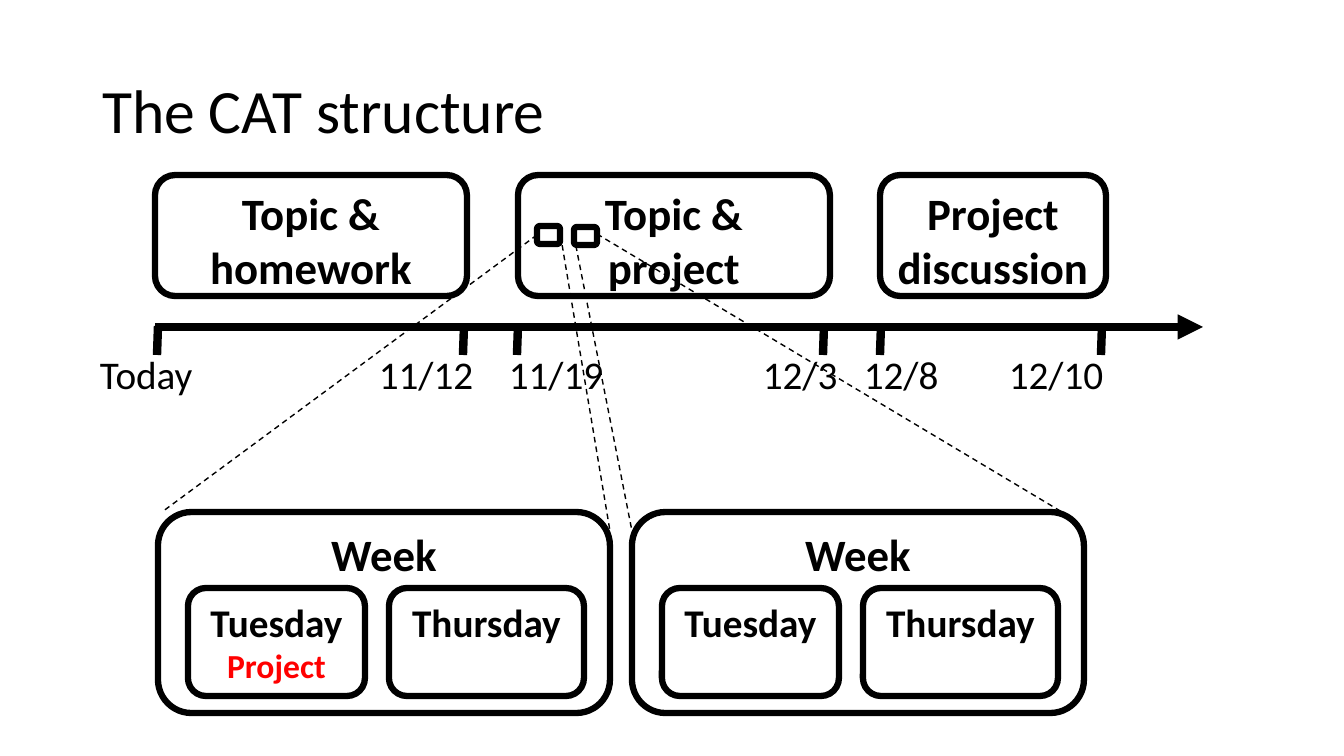
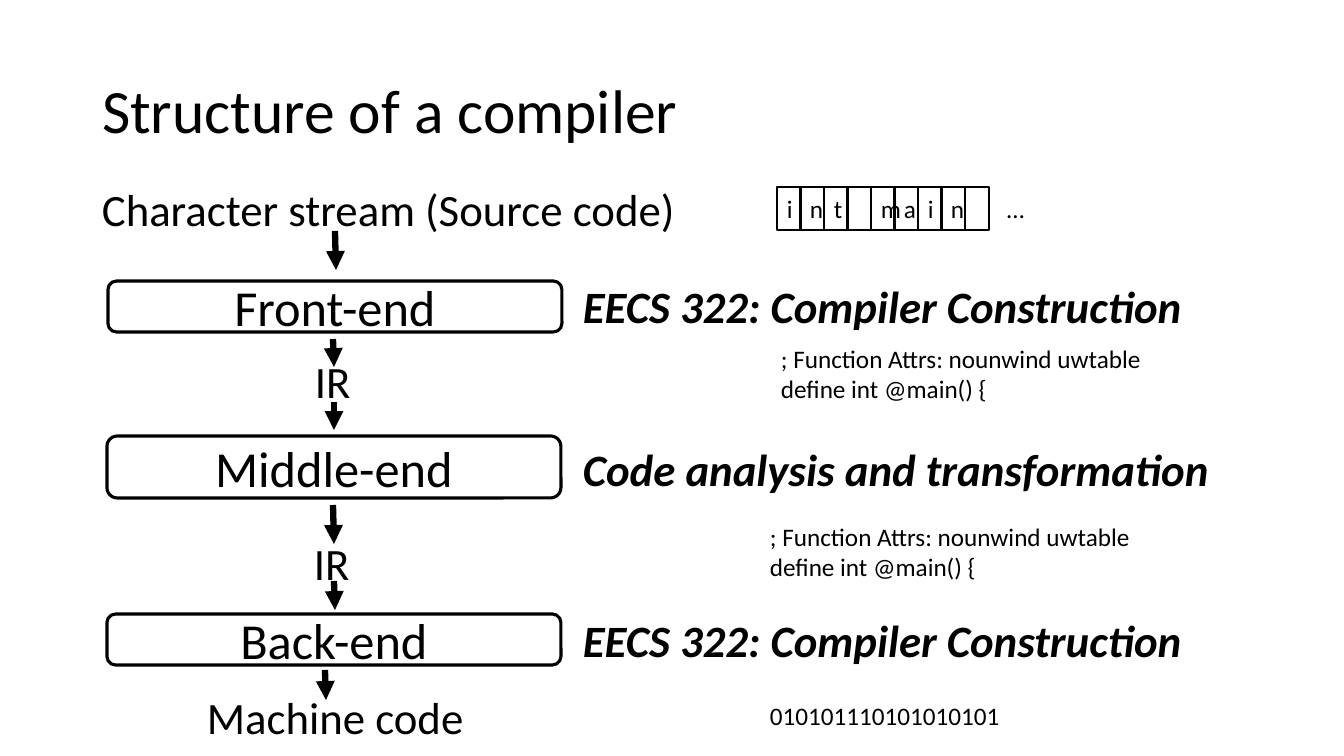
"""Build two course slides: the CAT structure and the structure of a compiler."""
from dataclasses import dataclass

from lxml import etree
from pptx import Presentation
from pptx import util as u
from pptx.dml.color import RGBColor
from pptx.enum import dml, shapes
from pptx.enum import text as txt
from pptx.oxml import ns

EMU_PER_PX = 914400 / 100.8
SLIDE_W, SLIDE_H = 1344, 756
FONT = "Calibri"
COLORS = {"ink": "000000", "paper": "FFFFFF", "accent": "FF0000"}
CENTER, LEFT = txt.PP_ALIGN.CENTER, txt.PP_ALIGN.LEFT
TOP, MIDDLE = txt.MSO_ANCHOR.TOP, txt.MSO_ANCHOR.MIDDLE
ROUNDED = shapes.MSO_SHAPE.ROUNDED_RECTANGLE
SQUARE = shapes.MSO_SHAPE.RECTANGLE


@dataclass(frozen=True)
class Area:
    x: int
    y: int
    w: int
    h: int

    def emu(self):
        return [px(side) for side in (self.x, self.y, self.w, self.h)]


@dataclass(frozen=True)
class Stroke:
    x1: int
    y1: int
    x2: int
    y2: int


@dataclass(frozen=True)
class Label:
    text: str
    area: Area
    size: int = 32
    strong: bool = False


@dataclass(frozen=True)
class Week:
    x: int
    tuesday_task: str
    mini: Area
    zoom: tuple


def px(length: float) -> u.Emu:
    return u.Emu(round(length * EMU_PER_PX))


def rgb(name: str) -> RGBColor:
    return RGBColor.from_string(COLORS[name])


def write(frame, content: str, *, size: int, bold=False, italic=False, color="ink",
          align=LEFT, anchor=TOP, spacing=None, wrap=True) -> None:
    frame.word_wrap = wrap
    frame.vertical_anchor = anchor
    for line in content.split("\n"):
        last = frame.paragraphs[-1]
        paragraph = frame.add_paragraph() if last.runs else last
        paragraph.alignment = align
        if spacing:
            paragraph.line_spacing = spacing
        run = paragraph.add_run()
        run.text = line
        font = run.font
        font.name, font.size = FONT, u.Pt(size)
        font.bold, font.italic = bold, italic
        font.color.rgb = rgb(color)


def add_titled_slide(deck, heading: str):
    slide = deck.slides.add_slide(deck.slide_layouts[5])
    title = slide.shapes.title
    title.left, title.top, title.width, title.height = Area(92, 41, 1159, 146).emu()
    write(title.text_frame, heading, size=44, anchor=MIDDLE, spacing=0.9)
    return slide


def add_box(parent, area: Area, kind=ROUNDED, *, weight=4.5, fill="paper", outline="ink"):
    box = parent.shapes.add_shape(kind, *area.emu())
    box.shadow.inherit = False
    if fill:
        box.fill.solid()
        box.fill.fore_color.rgb = rgb(fill)
    else:
        box.fill.background()
    box.line.color.rgb = rgb(outline)
    box.line.width = u.Pt(weight)
    return box


def add_stroke(slide, stroke: Stroke, *, weight: float, arrow=False, dashed=False) -> None:
    ends = [px(end) for end in (stroke.x1, stroke.y1, stroke.x2, stroke.y2)]
    connector = slide.shapes.add_connector(shapes.MSO_CONNECTOR.STRAIGHT, *ends)
    connector.line.color.rgb = rgb("ink")
    connector.line.width = u.Pt(weight)
    if dashed:
        connector.line.dash_style = dml.MSO_LINE.DASH
    properties = connector.element.spPr
    if arrow:
        etree.SubElement(properties.find(ns.qn("a:ln")), ns.qn("a:tailEnd"), type="triangle")
    etree.SubElement(properties, ns.qn("a:effectLst"))


def add_label(slide, label: Label, *, wrap=False):
    textbox = slide.shapes.add_textbox(*label.area.emu())
    write(textbox.text_frame, label.text, size=label.size, bold=label.strong,
          italic=label.strong, wrap=wrap)
    textbox.text_frame.auto_size = txt.MSO_AUTO_SIZE.SHAPE_TO_FIT_TEXT
    return textbox


def add_dates(slide, dates: dict) -> None:
    area = Area(90, 345, 1067, 57)
    textbox = add_label(slide, Label("\t".join(dates), area, 28), wrap=True)
    paragraph = textbox.text_frame.paragraphs[0]
    stops = etree.SubElement(paragraph._p.get_or_add_pPr(), ns.qn("a:tabLst"))
    for start in list(dates.values())[1:]:
        offset = px(start - area.x) - textbox.text_frame.margin_left
        etree.SubElement(stops, ns.qn("a:tab"), pos=str(offset), algn="l")


def add_week(slide, week: Week) -> None:
    group = slide.shapes.add_group_shape()
    panel = add_box(group, Area(week.x, 512, 452, 201))
    write(panel.text_frame, "Week", size=32, bold=True, align=CENTER)
    days = (("Tuesday", 30, 177, week.tuesday_task), ("Thursday", 231, 195, ""))
    for day, offset, width, task in days:
        frame = add_box(group, Area(week.x + offset, 588, width, 108)).text_frame
        write(frame, day, size=28, bold=True, align=CENTER)
        if task:
            write(frame, task, size=24, bold=True, color="accent", align=CENTER)
    add_box(slide, week.mini)
    for guide in week.zoom:
        add_stroke(slide, guide, weight=1, dashed=True)


def build_course_slide(deck) -> None:
    slide = add_titled_slide(deck, "The CAT structure")
    phases = (
        Label("Topic & homework", Area(155, 175, 312, 121)),
        Label("Topic &\nproject", Area(518, 175, 312, 121)),
        Label("Project\ndiscussion", Area(880, 175, 226, 121)),
    )
    for phase in phases:
        frame = add_box(slide, phase.area).text_frame
        write(frame, phase.text, size=phase.size, bold=True, align=CENTER)

    add_stroke(slide, Stroke(155, 327, 1203, 327), weight=6, arrow=True)
    add_dates(slide, {"Today": 100, "11/12": 379, "11/19": 509,
                      "12/3": 763, "12/8": 864, "12/10": 1009})
    for tick in (158, 464, 518, 824, 881, 1102):
        add_stroke(slide, Stroke(tick, 326, tick - 1, 355), weight=6)

    weeks = (
        Week(158, "Project", Area(537, 226, 23, 18),
             (Stroke(537, 235, 162, 512), Stroke(559, 226, 610, 531))),
        Week(632, "", Area(574, 227, 23, 18),
             (Stroke(574, 236, 632, 531), Stroke(597, 234, 1062, 512))),
    )
    for week in weeks:
        add_week(slide, week)


def add_character_cell(slide, character: str, area: Area, outline="ink") -> None:
    cell = add_box(slide, area, SQUARE, weight=1, fill=None, outline=outline)
    if character.strip():
        write(cell.text_frame, character, size=18, align=CENTER, anchor=MIDDLE)


def build_compiler_slide(deck) -> None:
    slide = add_titled_slide(deck, "Structure of a compiler")
    stages = (
        Label("Front-end", Area(108, 281, 454, 51), 36),
        Label("Middle-end", Area(107, 436, 454, 62), 36),
        Label("Back-end", Area(107, 614, 454, 51), 36),
    )
    for stage in stages:
        frame = add_box(slide, stage.area, weight=2.25, fill=None).text_frame
        write(frame, stage.text, size=stage.size, align=CENTER, anchor=MIDDLE)

    for index, character in enumerate("int main "):
        add_character_cell(slide, character, Area(777 + index * 47 // 2, 187, 24, 43))
    add_character_cell(slide, "…", Area(993, 187, 45, 43), outline="paper")

    ir_code = "; Function Attrs: nounwind uwtable\ndefine int @main() {"
    course = "EECS 322: Compiler Construction"
    labels = (
        Label("Character stream (Source code)", Area(92, 177, 596, 65)),
        Label("IR", Area(305, 349, 60, 65)),
        Label("IR", Area(304, 531, 60, 65)),
        Label("Machine code", Area(197, 685, 279, 65)),
        Label(ir_code, Area(771, 338, 385, 72), 18),
        Label(ir_code, Area(760, 516, 385, 72), 18),
        Label("010101110101010101", Area(760, 695, 255, 40), 18),
        Label(course, Area(573, 274, 628, 65), strong=True),
        Label("Code analysis and transformation", Area(573, 437, 680, 65), strong=True),
        Label(course, Area(573, 608, 628, 65), strong=True),
    )
    for label in labels:
        add_label(slide, label)

    flow = (
        Stroke(335, 231, 336, 270),
        Stroke(333, 339, 334, 367),
        Stroke(334, 402, 334, 430),
        Stroke(333, 505, 334, 544),
        Stroke(334, 581, 335, 610),
        Stroke(325, 670, 326, 700),
    )
    for step in flow:
        add_stroke(slide, step, weight=4.5, arrow=True)


def main() -> None:
    deck = Presentation()
    deck.slide_width, deck.slide_height = px(SLIDE_W), px(SLIDE_H)
    build_course_slide(deck)
    build_compiler_slide(deck)
    deck.save("out.pptx")


main()
